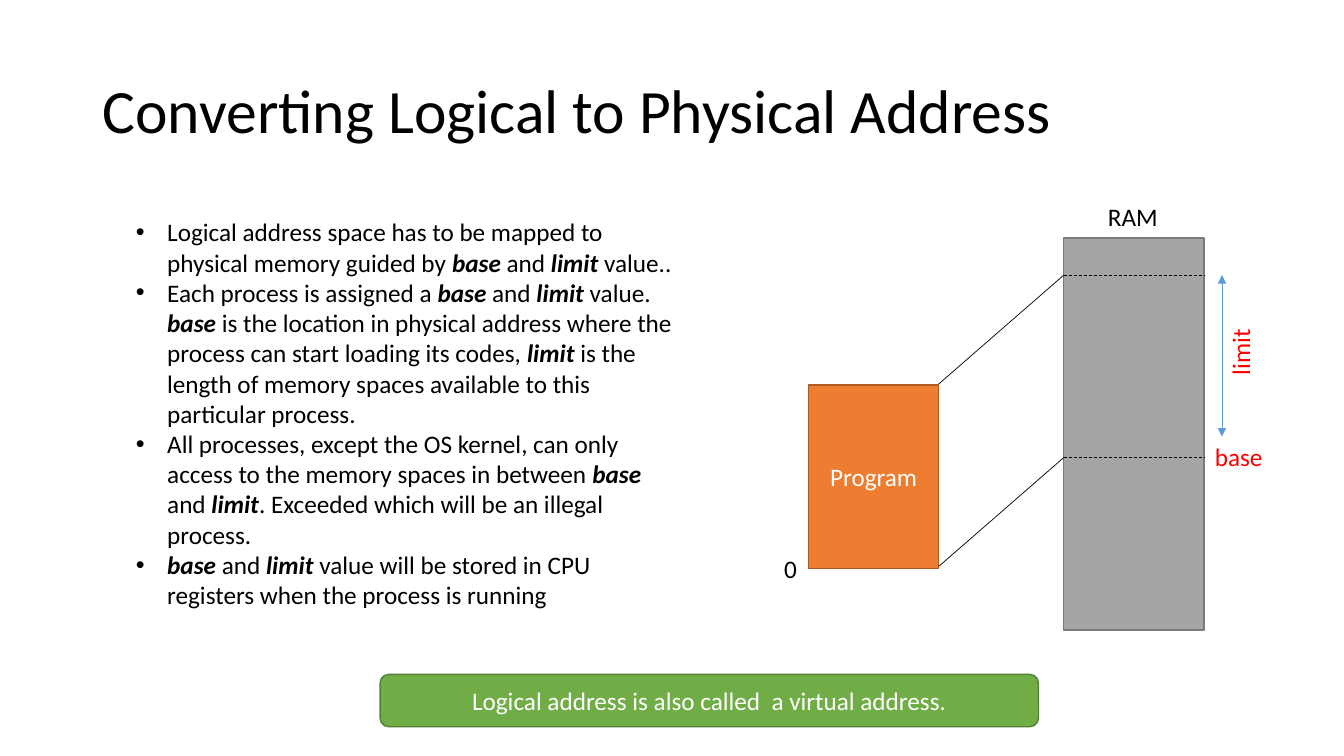
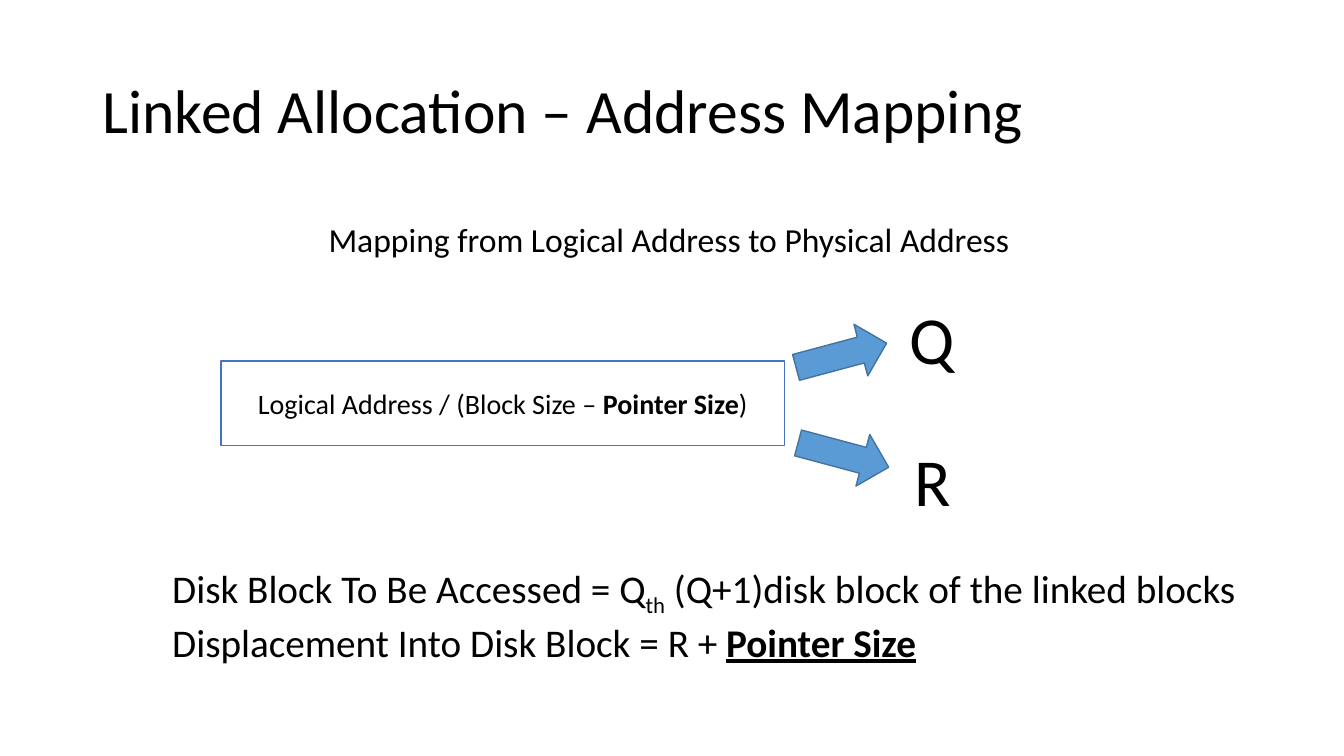
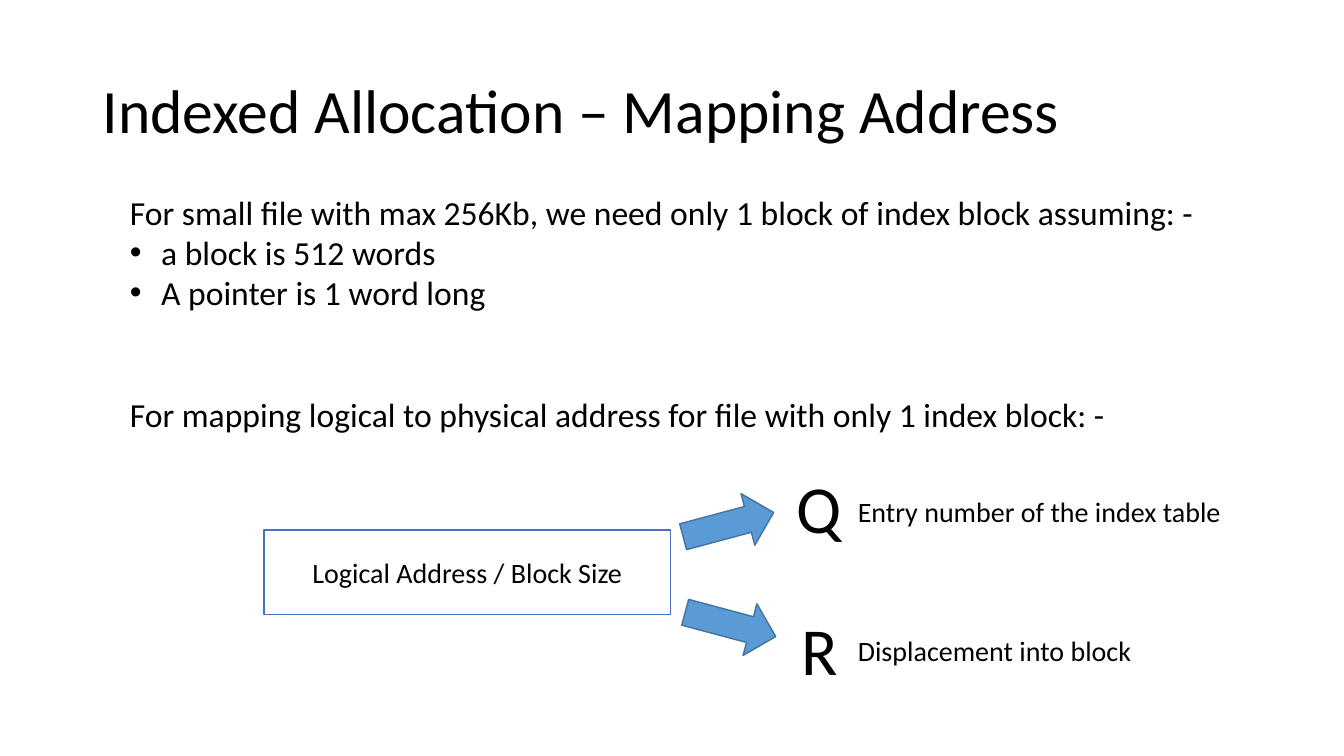
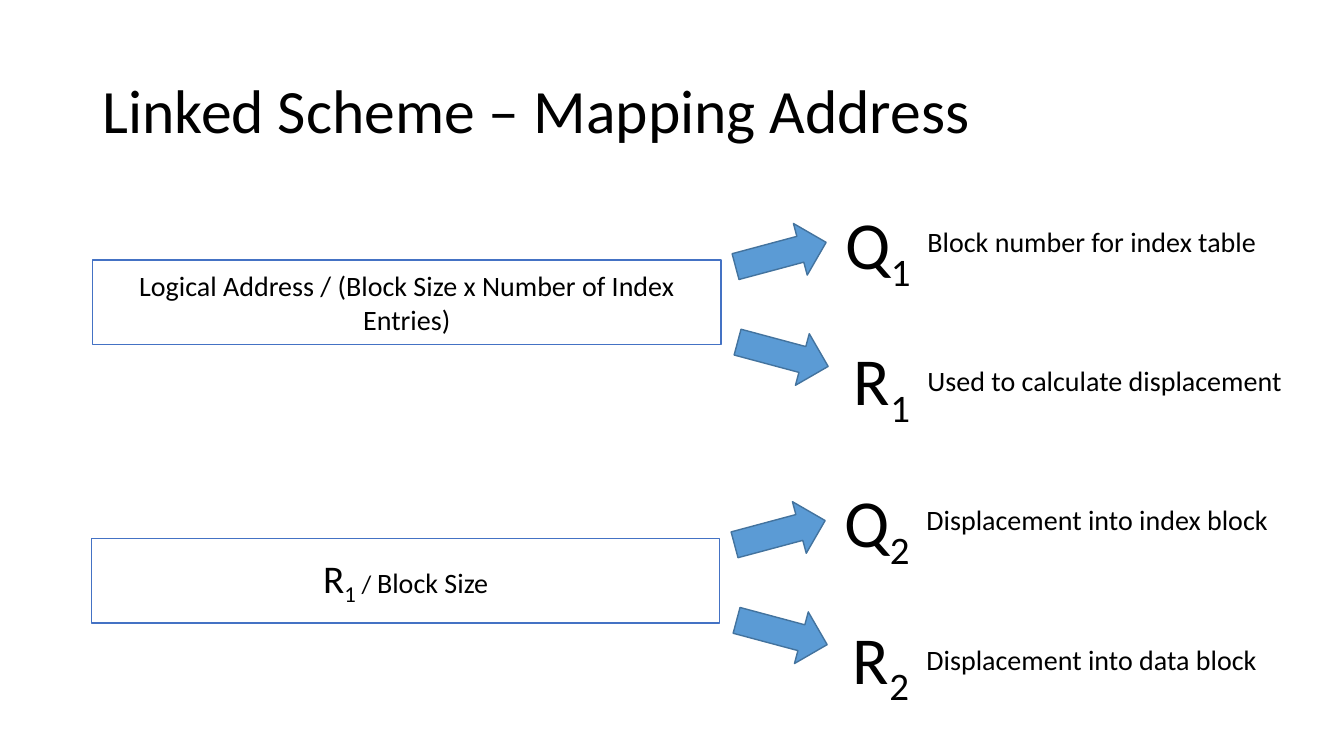
from dataclasses import dataclass
from typing import NamedTuple, Optional, Sequence, Union

from lxml import etree
from pptx import Presentation
from pptx.dml.color import RGBColor
from pptx.enum.dml import MSO_LINE
from pptx.enum.shapes import MSO_CONNECTOR, MSO_SHAPE
from pptx.enum.text import MSO_ANCHOR, MSO_AUTO_SIZE, PP_ALIGN
from pptx.oxml.ns import qn
from pptx.util import Emu, Pt

# Shared style
FONT = "Calibri"
BLACK = RGBColor(0x00, 0x00, 0x00)
WHITE = RGBColor(0xFF, 0xFF, 0xFF)
RED = RGBColor(0xFF, 0x00, 0x00)
GRAY, GRAY_EDGE = RGBColor(0xA5, 0xA5, 0xA5), RGBColor(0x7A, 0x7A, 0x7A)
ORANGE, ORANGE_EDGE = RGBColor(0xED, 0x7D, 0x31), RGBColor(0xAF, 0x5C, 0x24)
GREEN, GREEN_EDGE = RGBColor(0x70, 0xAD, 0x47), RGBColor(0x53, 0x80, 0x35)
BLUE, BLUE_EDGE = RGBColor(0x5B, 0x9B, 0xD5), RGBColor(0x43, 0x73, 0x9E)
FORMULA_EDGE = RGBColor(0x44, 0x72, 0xC4)

PX = 9144  # 100 px to the inch
BULLET_INDENT = 31
FORMULA_HEIGHT = 84
ARROW_SIZE = (93, 53)


def px(n: int) -> Emu:
    return Emu(n * PX)


# Text model
class Run(NamedTuple):
    text: str
    bold: bool = False
    italic: bool = False
    underline: bool = False
    sub: bool = False
    size: Optional[int] = None


@dataclass(frozen=True)
class Para:
    runs: Sequence[Union[str, Run]]
    bullet: bool = False
    before: int = 0


class Box(NamedTuple):
    x: int
    y: int
    w: int
    h: int


def plain(text: str) -> list[Para]:
    return [Para([text])]


def fill_text(tf, paras: Sequence[Para], size: int, color: RGBColor, align=PP_ALIGN.LEFT) -> None:
    for i, para in enumerate(paras):
        p = tf.paragraphs[0] if i == 0 else tf.add_paragraph()
        p.alignment = align
        if para.before:
            p.space_before = Pt(para.before)
        if para.bullet:
            pPr = p._p.get_or_add_pPr()
            pPr.set("marL", str(px(BULLET_INDENT)))
            pPr.set("indent", str(-px(BULLET_INDENT)))
            etree.SubElement(pPr, qn("a:buFont")).set("typeface", "Arial")
            etree.SubElement(pPr, qn("a:buChar")).set("char", "•")
        for item in para.runs:
            run = item if isinstance(item, Run) else Run(item)
            r = p.add_run()
            r.text = run.text
            r.font.name, r.font.size = FONT, Pt(run.size or size)
            r.font.color.rgb = color
            r.font.bold, r.font.italic = run.bold, run.italic
            r.font.underline = run.underline
            if run.sub:
                r._r.get_or_add_rPr().set("baseline", "-25000")


def add_text(s, box: Box, paras: Sequence[Para], size: int, color: RGBColor = BLACK,
             wrap: bool = False, rotation: int = 0):
    sp = s.shapes.add_textbox(*map(px, box))
    sp.rotation = rotation
    tf = sp.text_frame
    tf.word_wrap = wrap
    tf.auto_size = MSO_AUTO_SIZE.SHAPE_TO_FIT_TEXT
    fill_text(tf, paras, size, color)
    return sp


def add_block(s, kind: MSO_SHAPE, box: Box, fill: RGBColor, edge: RGBColor,
              paras: Sequence[Para] = (), size: int = 18, color: RGBColor = WHITE,
              rotation: int = 0):
    sp = s.shapes.add_shape(kind, *map(px, box))
    sp.shadow.inherit = False
    sp.fill.solid()
    sp.fill.fore_color.rgb = fill
    sp.line.color.rgb, sp.line.width = edge, Pt(1)
    sp.rotation = rotation
    tf = sp.text_frame
    tf.word_wrap, tf.vertical_anchor = True, MSO_ANCHOR.MIDDLE
    fill_text(tf, paras, size, color, PP_ALIGN.CENTER)
    return sp


def add_line(s, x1: int, y1: int, x2: int, y2: int, color: RGBColor = BLACK,
             dashed: bool = False, arrows: bool = False) -> None:
    c = s.shapes.add_connector(MSO_CONNECTOR.STRAIGHT, *map(px, (x1, y1, x2, y2)))
    c.line.color.rgb, c.line.width = color, Pt(0.5)
    if dashed:
        c.line.dash_style = MSO_LINE.DASH
    if arrows:
        for end in ("a:headEnd", "a:tailEnd"):
            etree.SubElement(c.line._get_or_add_ln(), qn(end)).set("type", "triangle")
    etree.SubElement(c._element.spPr, qn("a:effectLst"))


def add_slide(prs, title: str):
    s = prs.slides.add_slide(prs.slide_layouts[6])
    sp = add_text(s, Box(92, 40, 1150, 145), plain(title), 44, wrap=True)
    tf = sp.text_frame
    tf.auto_size, tf.vertical_anchor = MSO_AUTO_SIZE.NONE, MSO_ANCHOR.MIDDLE
    tf.paragraphs[0].line_spacing = 0.9
    return s


# Division diagram: a formula whose arrows lead to quotient Q and remainder R
class Caption(NamedTuple):
    text: str
    width: int


class Letter(NamedTuple):
    name: str
    dx: int  # from the upper arrow
    dy: int  # from the formula's top
    width: int


PLAIN_LETTERS = (Letter("Q", 104, -68, 65), Letter("R", 109, 73, 57))
INDEXED_LETTERS = (Letter("Q", 101, -62, 88), Letter("R", 109, 73, 80))


@dataclass(frozen=True)
class Division:
    x: int
    y: int
    w: int
    formula: Sequence[Union[str, Run]]
    gap: int
    index: str = ""
    captions: Sequence[Caption] = ()


def add_division(s, d: Division) -> None:
    add_block(s, MSO_SHAPE.RECTANGLE, Box(d.x, d.y, d.w, FORMULA_HEIGHT), WHITE,
              FORMULA_EDGE, [Para(d.formula)], 20, BLACK)
    arrow_x = d.x + d.w + d.gap
    for dx, dy, rotation in ((0, -32, 345), (2, 67, 15)):
        add_block(s, MSO_SHAPE.RIGHT_ARROW, Box(arrow_x + dx, d.y + dy, *ARROW_SIZE),
                  BLUE, BLUE_EDGE, rotation=rotation)
    for letter in INDEXED_LETTERS if d.index else PLAIN_LETTERS:
        runs = [letter.name] + ([Run(d.index, sub=True)] if d.index else [])
        add_text(s, Box(arrow_x + letter.dx, d.y + letter.dy, letter.width, 91),
                 [Para(runs)], 48)
    caption_x = arrow_x + (182 if d.index else 165)
    for i, caption in enumerate(d.captions):
        add_text(s, Box(caption_x, d.y - 40 + 138 * i, caption.width, 44),
                 plain(caption.text), 20)


# Slides
def logical_to_physical(prs) -> None:
    s = add_slide(prs, "Converting Logical to Physical Address")
    base, limit = (Run(word, bold=True, italic=True) for word in ("base", "limit"))
    points = (
        ["Logical address space has to be mapped to physical memory guided by ",
         base, " and ", limit, " value.."],
        ["Each process is assigned a ", base, " and ", limit, " value. ", base,
         " is the location in physical address where the process can start loading its codes, ",
         limit, " is the length of memory spaces available to this particular process."],
        ["All processes, except the OS kernel, can only access to the memory spaces in between ",
         base, " and ", limit, ". Exceeded which will be an illegal process."],
        [base, " and ", limit,
         " value will be stored in CPU registers when the process is running"],
    )
    add_text(s, Box(125, 210, 552, 434), [Para(runs, bullet=True) for runs in points],
             18, wrap=True)

    # Memory and program
    ram, program = Box(1055, 236, 139, 389), Box(802, 382, 129, 182)
    limit_y, base_y = 273, 454
    add_block(s, MSO_SHAPE.RECTANGLE, ram, GRAY, GRAY_EDGE)
    add_text(s, Box(1089, 195, 73, 40), plain("RAM"), 18)
    add_block(s, MSO_SHAPE.RECTANGLE, program, ORANGE, ORANGE_EDGE, plain("Program"))
    add_text(s, Box(768, 544, 34, 40), plain("0"), 18)

    # Program edges projected onto memory
    for program_y, ram_y in ((program.y + program.h - 2, base_y), (program.y - 1, limit_y)):
        add_line(s, program.x + program.w, program_y, ram.x, ram_y)
        add_line(s, ram.x, ram_y, ram.x + ram.w, ram_y, dashed=True)
    add_text(s, Box(1195, 433, 71, 40), plain("base"), 18, RED)
    add_line(s, 1212, limit_y, 1212, 433, BLUE, arrows=True)
    add_text(s, Box(1197, 329, 66, 40), plain("limit"), 18, RED, rotation=270)

    add_block(s, MSO_SHAPE.ROUNDED_RECTANGLE, Box(377, 669, 653, 52), GREEN, GREEN_EDGE,
              plain("Logical address is also called  a virtual address."))


def linked_allocation(prs) -> None:
    s = add_slide(prs, "Linked Allocation – Address Mapping")
    add_text(s, Box(316, 212, 701, 50),
             plain("Mapping from Logical Address to Physical Address"), 24)
    add_division(s, Division(219, 358, 559, [
        "Logical Address / (Block Size – ", Run("Pointer Size", bold=True), ")"], 10))
    add_text(s, Box(161, 555, 1091, 104), [
        Para(["Disk Block To Be Accessed = Q", Run("th", sub=True),
              " (Q+1)disk block of the linked blocks"]),
        Para(["Displacement Into Disk Block = R + ",
              Run("Pointer Size", bold=True, underline=True)]),
    ], 28)


def indexed_allocation(prs) -> None:
    s = add_slide(prs, "Indexed Allocation – Mapping Address")
    add_text(s, Box(119, 185, 1084, 252), [
        Para(["For small file with max 256Kb, we need only 1 block of index block assuming: -"]),
        Para(["a block is 512 words"], bullet=True),
        Para(["A pointer is 1 word long"], bullet=True),
        Para(["For mapping logical to physical address for file with only 1 index block: -"],
             before=58),
    ], 24)
    add_division(s, Division(262, 526, 403, ["Logical Address / Block Size"], 11, captions=(
        Caption("Entry number of the index table", 383),
        Caption("Displacement into block", 294))))


def linked_scheme(prs) -> None:
    s = add_slide(prs, "Linked Scheme – Mapping Address")
    add_division(s, Division(
        92, 258, 623, ["Logical Address / (Block Size x Number of Index Entries)"], 13, "1",
        (Caption("Block number for index table", 349),
         Caption("Used to calculate displacement", 375))))
    add_division(s, Division(
        91, 534, 623,
        [Run("R", size=28), Run("1", sub=True, size=28), Run(" / ", size=18), "Block Size"],
        13, "2",
        (Caption("Displacement into index block", 362),
         Caption("Displacement into data block", 351))))


def main() -> None:
    prs = Presentation()
    prs.slide_width, prs.slide_height = px(1333), px(750)
    for build in (logical_to_physical, linked_allocation, indexed_allocation, linked_scheme):
        build(prs)
    prs.save("out.pptx")


if __name__ == "__main__":
    main()
